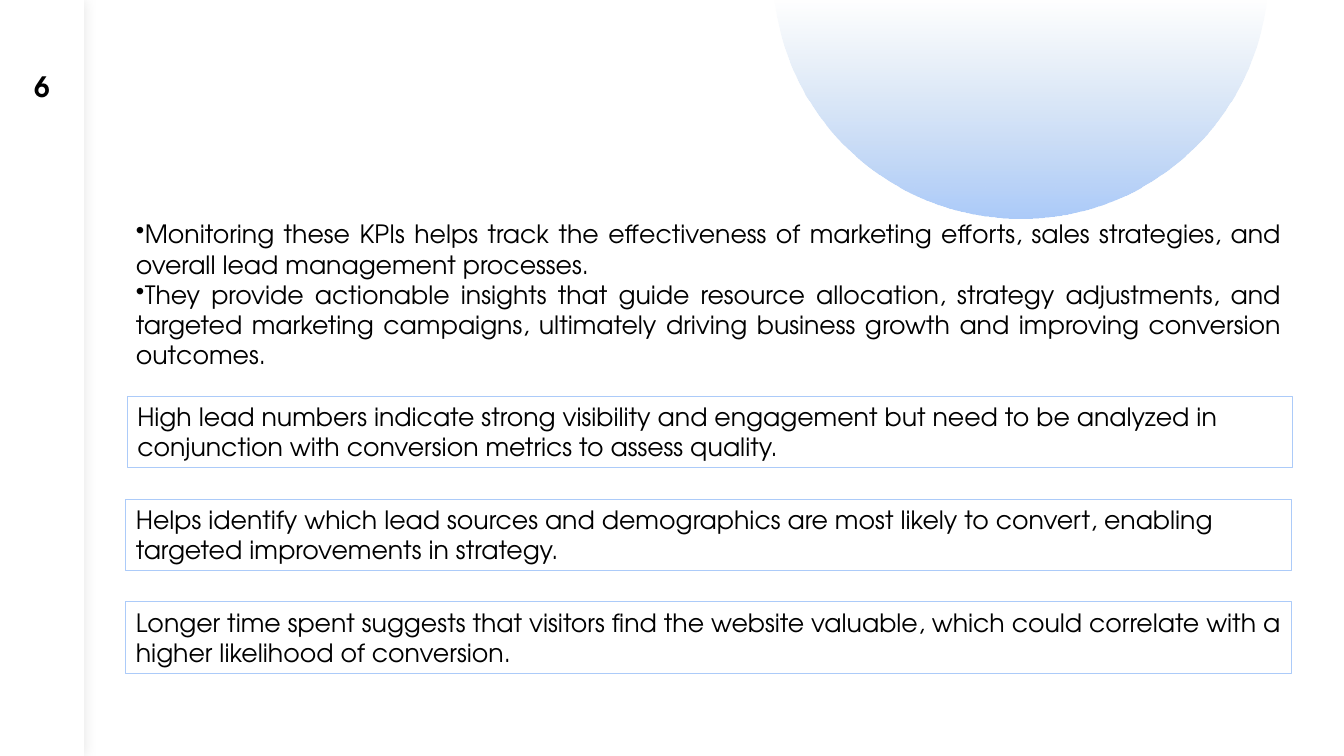
from math import asin, cos, pi, sin

from lxml.etree import SubElement
from pptx import Presentation
from pptx.dml.color import RGBColor
from pptx.enum.shapes import MSO_SHAPE as Kind
from pptx.enum.text import MSO_ANCHOR as Anchor, PP_ALIGN as Align
from pptx.oxml.ns import qn
from pptx.util import Pt

POINTS = [
    "Monitoring these KPIs helps track the effectiveness of marketing efforts, "
    "sales strategies, and overall lead management processes.",
    "They provide actionable insights that guide resource allocation, strategy "
    "adjustments, and targeted marketing campaigns, ultimately driving business "
    "growth and improving conversion outcomes.",
]
NOTES = [
    "High lead numbers indicate strong visibility and engagement but need to be "
    "analyzed in conjunction with conversion metrics to assess quality.",
    "Helps identify which lead sources and demographics are most likely to "
    "convert, enabling targeted improvements in strategy.",
    "Longer time spent suggests that visitors find the website valuable, which "
    "could correlate with a higher likelihood of conversion.",
]
PAGE = "6"
HEX = {"ink": "000000", "paper": "FFFFFF", "blue": "ACCBF9", "haze": "B4CCE7"}
FONT = "TeX Gyre Adventor"
WIDE, HIGH = 960, 540
LEFT, SPAN = 90, 832.3
BAR = 60
NOTE_TOP, NOTE_HIGH, NOTE_STEP = 283, 51, 73.5
DOME_X, DOME_HALF, DOME_DEEP = 728.6, 175.7, 156.4
STEPS = 120


def color(name):
    return RGBColor.from_string(HEX[name])


def style(para, text, size=18, bold=False, align=Align.LEFT):
    para.text = text
    para.alignment = align
    font = para.font
    font.name, font.size, font.bold = FONT, Pt(size), bold
    font.color.rgb = color("ink")


def add_box(slide, x, y, w, h, anchor):
    frame = slide.shapes.add_textbox(Pt(x), Pt(y), Pt(w), Pt(h)).text_frame
    frame.word_wrap = True
    frame.vertical_anchor = anchor
    return frame


def add_rect(slide, x, y, w, h):
    rect = slide.shapes.add_shape(Kind.RECTANGLE, Pt(x), Pt(y), Pt(w), Pt(h))
    rect.shadow.inherit = False
    return rect


def add_dome(slide):
    """Draw the part of a circle that hangs below the top edge."""
    radius = (DOME_HALF ** 2 + DOME_DEEP ** 2) / (2 * DOME_DEEP)
    mid = DOME_DEEP - radius
    start = asin(-mid / radius)
    turns = [start + (pi - 2 * start) * i / STEPS for i in range(STEPS + 1)]
    dots = [(Pt(DOME_X + radius * cos(t)), Pt(mid + radius * sin(t)))
            for t in turns]
    pen = slide.shapes.build_freeform(*dots[0])
    pen.add_line_segments(dots[1:], close=True)
    dome = pen.convert_to_shape()
    dome.shadow.inherit = False
    dome.line.fill.background()
    dome.fill.gradient()
    dome.fill.gradient_angle = 270
    for stop, name, place in zip(dome.fill.gradient_stops, ("haze", "blue"), (0, 1)):
        stop.color.rgb = color(name)
        stop.position = place
    first = next(dome._element.spPr.iter(qn("a:srgbClr")))
    SubElement(first, qn("a:alpha"), val="0")


def add_bar(slide):
    bar = add_rect(slide, 0, 0, BAR, HIGH)
    bar.fill.solid()
    bar.fill.fore_color.rgb = color("paper")
    bar.line.fill.background()
    effects = bar._element.spPr.find(qn("a:effectLst"))
    glow = SubElement(effects, qn("a:outerShdw"), blurRad=str(Pt(10)),
                      dist="0", algn="ctr", rotWithShape="0")
    ink = SubElement(glow, qn("a:srgbClr"), val=HEX["ink"])
    SubElement(ink, qn("a:alpha"), val="10000")


def add_page(slide):
    para = add_box(slide, 0, 48, BAR, 30, Anchor.MIDDLE).paragraphs[0]
    style(para, PAGE, 20, True, Align.CENTER)
    para.line_spacing = 0.9


def add_notes(slide):
    for i, text in enumerate(NOTES):
        note = add_rect(slide, LEFT, NOTE_TOP + i * NOTE_STEP, SPAN, NOTE_HIGH)
        if i == 0:
            note.left = Pt(LEFT + 1)
        note.fill.background()
        note.line.color.rgb = color("blue")
        note.line.width = Pt(0.75)
        note.text_frame.word_wrap = True
        note.text_frame.vertical_anchor = Anchor.TOP
        style(note.text_frame.paragraphs[0], text)


def add_points(slide):
    frame = add_box(slide, LEFT, 129.6, SPAN, 138.2, Anchor.BOTTOM)
    for i, text in enumerate(POINTS):
        para = frame.add_paragraph() if i else frame.paragraphs[0]
        style(para, text, align=Align.JUSTIFY)
        props = para._p.get_or_add_pPr()
        props.set("marL", "0")
        props.set("indent", "0")
        mark = SubElement(props, qn("a:buChar"), char="•")
        props.find(qn("a:defRPr")).addprevious(mark)


def main():
    deck = Presentation()
    deck.slide_width, deck.slide_height = Pt(WIDE), Pt(HIGH)
    slide = deck.slides.add_slide(deck.slide_layouts[6])
    for draw in (add_dome, add_bar, add_page, add_notes, add_points):
        draw(slide)
    deck.save("out.pptx")


if __name__ == "__main__":
    main()
